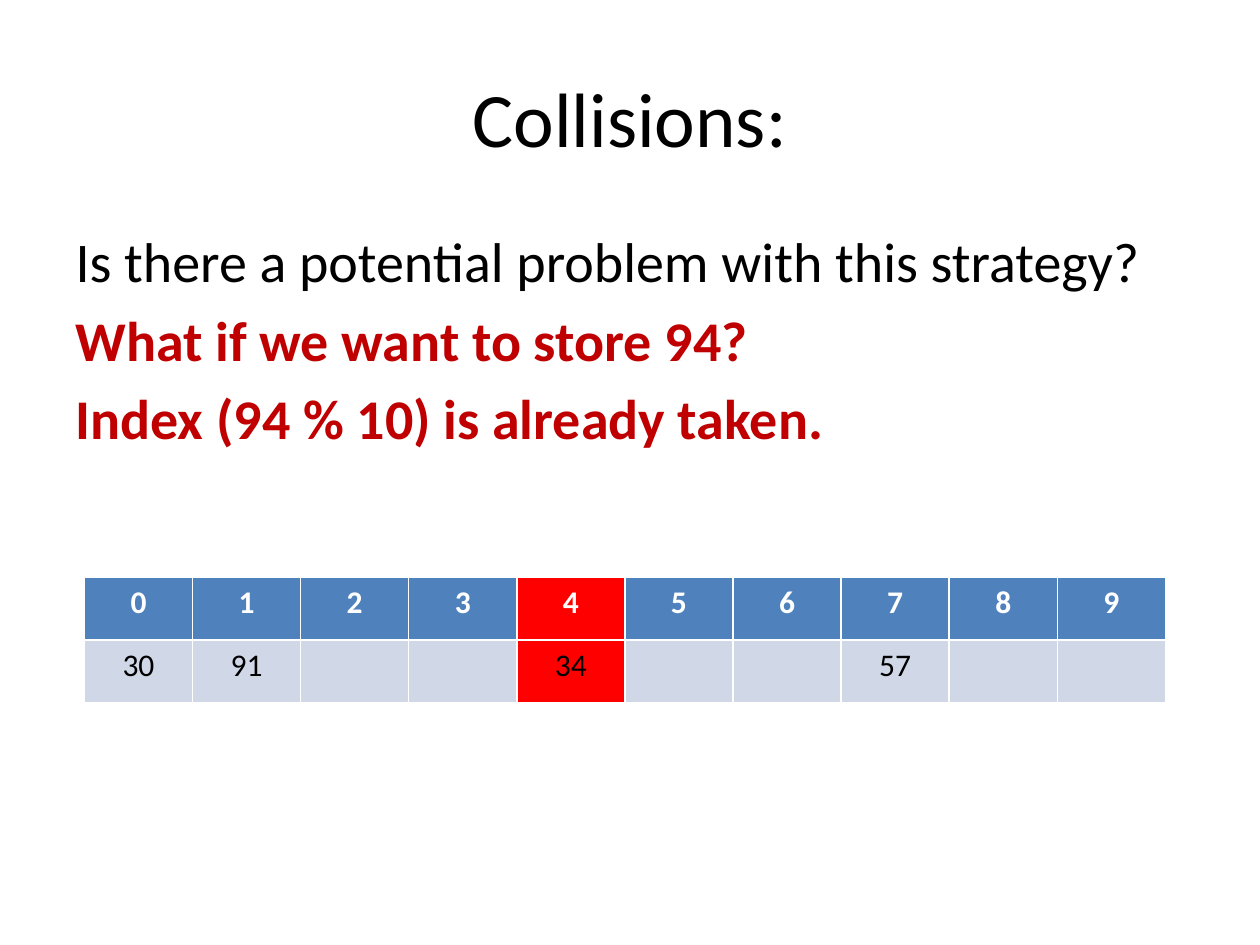
from lxml import etree
from pptx import Presentation
from pptx.dml.color import RGBColor
from pptx.enum.text import MSO_ANCHOR, PP_ALIGN
from pptx.oxml.ns import qn
from pptx.util import Inches, Pt

FONT = "Calibri"
BLACK = RGBColor(0x00, 0x00, 0x00)
WHITE = RGBColor(0xFF, 0xFF, 0xFF)
DARK_RED = RGBColor(0xC0, 0x00, 0x00)
RED = RGBColor(0xFF, 0x00, 0x00)
BLUE = RGBColor(0x4F, 0x81, 0xBD)
PALE_BLUE = RGBColor(0xD0, 0xD8, 0xE8)


def set_font(paragraph, size, color, bold=False):
    font = paragraph.font
    font.name = FONT
    font.size = Pt(size)
    font.bold = bold
    font.color.rgb = color


presentation = Presentation()
presentation.slide_width = Inches(10)
presentation.slide_height = Inches(7.5)
slide = presentation.slides.add_slide(presentation.slide_layouts[1])

# Title
title = slide.shapes.title
title.left, title.top = Inches(0.5), Inches(0.3)
title.width, title.height = Inches(9), Inches(1.25)
title.text_frame.vertical_anchor = MSO_ANCHOR.MIDDLE
title.text_frame.text = "Collisions:"
title_paragraph = title.text_frame.paragraphs[0]
title_paragraph.alignment = PP_ALIGN.CENTER
set_font(title_paragraph, 44, BLACK)

# Question and answer, without bullets
body = slide.placeholders[1]
body.left, body.top = Inches(0.5), Inches(1.75)
body.width, body.height = Inches(9), Inches(4.95)
lines = [
    ("Is there a potential problem with this strategy?", BLACK, False),
    ("What if we want to store 94?", DARK_RED, True),
    ("Index (94 % 10) is already taken.", DARK_RED, True),
]
body.text_frame.text = "\n".join(text for text, _, _ in lines)
for paragraph, (_, color, bold) in zip(body.text_frame.paragraphs, lines):
    set_font(paragraph, 32, color, bold)
    properties = paragraph._p.get_or_add_pPr()
    properties.set("marL", "0")
    properties.set("indent", "0")
    properties.insert(0, etree.Element(qn("a:buNone")))

# Hash table: indexes above, stored values below
SLOTS = 10
COLLISION_SLOT = 4
stored = {0: 30, 1: 91, 4: 34, 7: 57}
rows = [
    (range(SLOTS), BLUE, WHITE, True),
    ([stored.get(slot, "") for slot in range(SLOTS)], PALE_BLUE, BLACK, False),
]
table = slide.shapes.add_table(
    len(rows), SLOTS, Inches(0.67), Inches(4.58), Inches(8.58), Inches(1)
).table
for row, (values, fill_color, text_color, bold) in enumerate(rows):
    for slot, value in enumerate(values):
        cell = table.cell(row, slot)
        cell.fill.solid()
        cell.fill.fore_color.rgb = RED if slot == COLLISION_SLOT else fill_color
        cell.text = str(value)
        paragraph = cell.text_frame.paragraphs[0]
        paragraph.alignment = PP_ALIGN.CENTER
        set_font(paragraph, 18, text_color, bold)

presentation.save("out.pptx")
